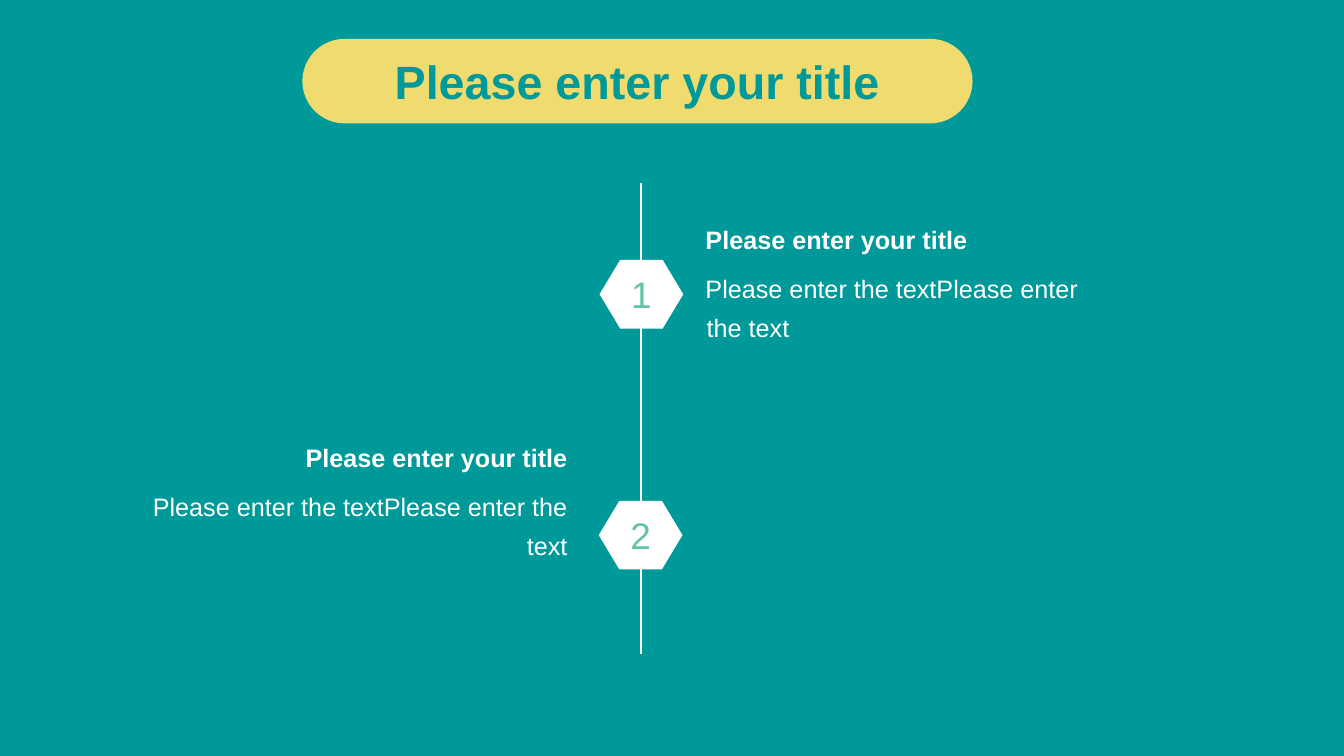
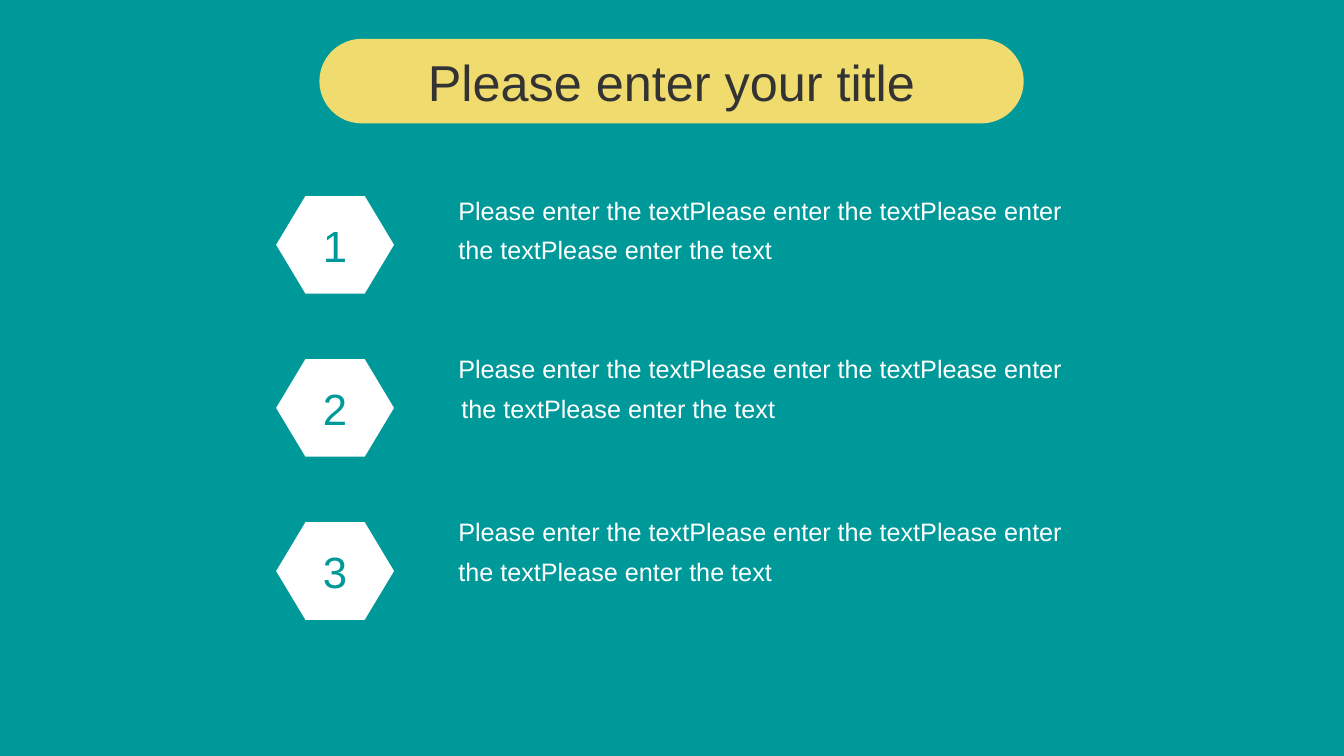
"""Build two teal slides: a numbered timeline and a numbered list."""
from dataclasses import dataclass

from lxml.etree import SubElement
from pptx import Presentation
from pptx.dml.color import RGBColor
from pptx.enum.shapes import MSO_CONNECTOR, MSO_SHAPE
from pptx.enum.text import MSO_ANCHOR, PP_ALIGN
from pptx.oxml.ns import qn
from pptx.util import Cm, Pt


@dataclass(frozen=True)
class Theme:
    font: str = "Arial"
    teal: RGBColor = RGBColor(0x00, 0x99, 0x99)
    yellow: RGBColor = RGBColor(0xF0, 0xDB, 0x6E)
    white: RGBColor = RGBColor(0xFF, 0xFF, 0xFF)
    mint: RGBColor = RGBColor(0x63, 0xC5, 0xA6)
    charcoal: RGBColor = RGBColor(0x33, 0x33, 0x33)
    bold_title_size: float = 33.3
    title_size: float = 36
    body_size: float = 18
    small_number_size: float = 26.4
    large_number_size: float = 31.2
    body_spacing: float = 1.3


theme = Theme()


def write_text(shape, text, size, color, align=PP_ALIGN.LEFT, bold=False, spacing=1.0, hanging=0):
    """Write one paragraph into a shape, with an optional hanging indent in centimetres."""
    shape.text_frame.word_wrap = True
    paragraph = shape.text_frame.paragraphs[0]
    paragraph.alignment = align
    paragraph.line_spacing = spacing
    if hanging:
        properties = paragraph._p.get_or_add_pPr()
        properties.set("marL", str(Cm(hanging)))
        properties.set("indent", str(-Cm(hanging)))
    run = paragraph.add_run()
    run.text = text
    run.font.name = theme.font
    run.font.size = Pt(size)
    run.font.bold = bold
    run.font.color.rgb = color


def add_label(slide, kind, adjustment, box, fill, text, size, color, bold=False):
    """Add a filled shape with centred text."""
    shape = slide.shapes.add_shape(kind, *map(Cm, box))
    shape.adjustments[0] = adjustment
    shape.shadow.inherit = False
    shape.fill.solid()
    shape.fill.fore_color.rgb = fill
    shape.line.fill.background()
    shape.text_frame.vertical_anchor = MSO_ANCHOR.MIDDLE
    write_text(shape, text, size, color, PP_ALIGN.CENTER, bold)


presentation = Presentation()
presentation.slide_width = Cm(33.87)
presentation.slide_height = Cm(19.05)
background = presentation.slide_master.background.fill
background.solid()
background.fore_color.rgb = theme.teal
blank_layout = presentation.slide_layouts[6]

title = "Please enter your title"
sentence = "Please enter the text"
banners = [
    (7.62, 16.89, theme.bold_title_size, theme.teal, True),
    (8.05, 17.75, theme.title_size, theme.charcoal, False),
]
slides = []
for left, width, size, color, bold in banners:
    slide = presentation.slides.add_slide(blank_layout)
    add_label(slide, MSO_SHAPE.ROUNDED_RECTANGLE, 0.5, (left, 0.98, width, 2.13),
              theme.yellow, title, size, color, bold)
    slides.append(slide)
timeline_slide, list_slide = slides

axis = timeline_slide.shapes.add_connector(
    MSO_CONNECTOR.STRAIGHT, Cm(16.15), Cm(4.62), Cm(16.15), Cm(16.48))
axis.line.color.rgb = theme.white
axis.line.width = Pt(1)
SubElement(axis._element.spPr, qn("a:effectLst"))

milestones = [
    (15.11, 6.55, 17.53, 5.54, 10.8, PP_ALIGN.LEFT, 0.03),
    (15.09, 12.62, 3.58, 11.02, 10.97, PP_ALIGN.RIGHT, 0),
]
for number, milestone in enumerate(milestones, start=1):
    hexagon_left, hexagon_top, left, top, width, align, hanging = milestone
    add_label(timeline_slide, MSO_SHAPE.HEXAGON, 0.3, (hexagon_left, hexagon_top, 2.11, 1.73),
              theme.white, str(number), theme.small_number_size, theme.mint)
    heading = timeline_slide.shapes.add_textbox(Cm(left), Cm(top), Cm(width), Cm(1.02))
    write_text(heading, title, theme.body_size, theme.white, align, bold=True)
    body = timeline_slide.shapes.add_textbox(Cm(left), Cm(top + 1), Cm(width), Cm(5.1))
    write_text(body, sentence * 2, theme.body_size, theme.white, align,
               spacing=theme.body_spacing, hanging=hanging)

for index, (text_top, hanging) in enumerate([(4.57, 0), (8.56, 0.08), (12.67, 0)]):
    add_label(list_slide, MSO_SHAPE.HEXAGON, 0.3, (6.96, 4.94 + 4.11 * index, 2.97, 2.46),
              theme.white, str(index + 1), theme.large_number_size, theme.teal)
    body = list_slide.shapes.add_textbox(Cm(11.3), Cm(text_top), Cm(16.48), Cm(4))
    write_text(body, sentence * 4, theme.body_size, theme.white,
               spacing=theme.body_spacing, hanging=hanging)

presentation.save("out.pptx")
